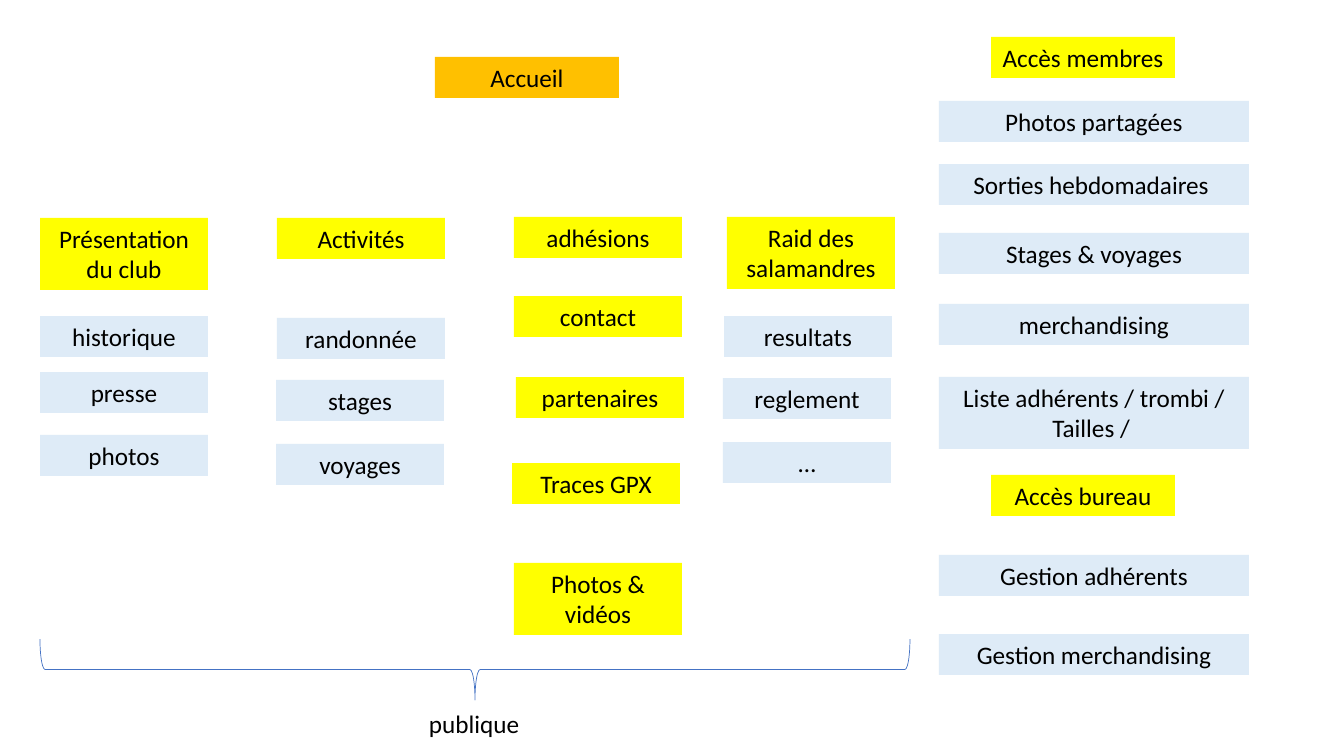
from dataclasses import dataclass
from typing import NamedTuple

from lxml import etree
from pptx import Presentation
from pptx.dml.color import RGBColor
from pptx.enum.shapes import MSO_SHAPE
from pptx.enum.text import MSO_ANCHOR, MSO_AUTO_SIZE, PP_ALIGN
from pptx.util import Emu, Pt

RECTANGLE = MSO_SHAPE.RECTANGLE
LEFT_BRACE = MSO_SHAPE.LEFT_BRACE
TOP = MSO_ANCHOR.TOP
GROW = MSO_AUTO_SIZE.SHAPE_TO_FIT_TEXT
LEFT, CENTER = PP_ALIGN.LEFT, PP_ALIGN.CENTER

PIXELS_PER_INCH = 100.8
SLIDE_WIDTH, SLIDE_HEIGHT = 1344, 756
LINE_HEIGHTS = {1: 41, 2: 72}
MENU_WIDTH, ACCESS_WIDTH, DETAIL_WIDTH = 168, 184, 310


@dataclass(frozen=True)
class Theme:
    """Colours and type of the site map."""
    font: str = "Calibri"
    size: float = 18
    text: str = "000000"
    home: str = "FFC000"
    menu: str = "FFFF00"
    page: str = "DEEBF7"
    brace: str = "4472C4"
    brace_width: float = 0.5


THEME = Theme()


class Entry(NamedTuple):
    """One box of a column; shift moves it sideways from the column's left."""
    label: str
    top: int
    fill: str = THEME.page
    lines: int = 1
    shift: int = 0


class Column(NamedTuple):
    """Boxes of one width that share a left edge."""
    left: int
    width: int
    entries: tuple[Entry, ...]


COLUMNS = (
    Column(435, ACCESS_WIDTH, (Entry("Accueil", 57, THEME.home),)),
    Column(40, MENU_WIDTH, (
        Entry("Présentation du club", 218, THEME.menu, lines=2),
        Entry("historique", 316),
        Entry("presse", 372),
        Entry("photos", 435),
    )),
    Column(277, MENU_WIDTH, (
        Entry("Activités", 218, THEME.menu),
        Entry("randonnée", 318),
        Entry("stages", 380, shift=-1),
        Entry("voyages", 444, shift=-1),
    )),
    Column(514, MENU_WIDTH, (
        Entry("adhésions", 217, THEME.menu),
        Entry("contact", 296, THEME.menu),
        Entry("partenaires", 377, THEME.menu, shift=2),
        Entry("Traces GPX", 463, THEME.menu, shift=-2),
        Entry("Photos & vidéos", 563, THEME.menu, lines=2),
    )),
    Column(727, MENU_WIDTH, (
        Entry("Raid des salamandres", 217, THEME.menu, lines=2),
        Entry("resultats", 316, shift=-3),
        Entry("reglement", 378, shift=-4),
        Entry("…", 442, shift=-4),
    )),
    Column(991, ACCESS_WIDTH, (
        Entry("Accès membres", 37, THEME.menu),
        Entry("Accès bureau", 475, THEME.menu),
    )),
    Column(939, DETAIL_WIDTH, (
        Entry("Photos partagées", 101),
        Entry("Sorties hebdomadaires ", 164),
        Entry("Stages & voyages", 233),
        Entry("merchandising", 304),
        Entry("Liste adhérents / trombi / Tailles / ", 377, lines=2),
        Entry("Gestion adhérents", 555),
        Entry("Gestion merchandising", 634),
    )),
)


def px(pixels: float) -> Emu:
    """Turn pixels into EMU."""
    return Emu(round(pixels * 914400 / PIXELS_PER_INCH))


def write(shape, text: str, *, align=CENTER, size: float = THEME.size,
          color: str = THEME.text) -> None:
    """Put formatted, wrapping text into a shape."""
    frame = shape.text_frame
    frame.word_wrap = True
    frame.auto_size = GROW
    frame.vertical_anchor = TOP
    paragraph = frame.paragraphs[0]
    paragraph.alignment = align
    run = paragraph.add_run()
    run.text = text
    run.font.name = THEME.font
    run.font.size = Pt(size)
    run.font.color.rgb = RGBColor.from_string(color)


def draw_column(slide, column: Column) -> None:
    """Draw every box of a column."""
    for entry in column.entries:
        box = slide.shapes.add_shape(
            RECTANGLE, px(column.left + entry.shift), px(entry.top),
            px(column.width), px(LINE_HEIGHTS[entry.lines]))
        box.shadow.inherit = False
        box.fill.solid()
        box.fill.fore_color.rgb = RGBColor.from_string(entry.fill)
        box.line.fill.background()
        write(box, entry.label)


def draw_brace(slide, left: int, top: int, width: int, height: int) -> None:
    """Draw a brace over the given area, pointing down."""
    center_x, center_y = left + width / 2, top + height / 2
    brace = slide.shapes.add_shape(
        LEFT_BRACE, px(center_x - height / 2), px(center_y - width / 2),
        px(height), px(width))
    brace.rotation = 90
    transform: etree._Element = brace.element.spPr.find(
        etree.QName("http://schemas.openxmlformats.org/drawingml/2006/main", "xfrm"))
    transform.set("flipH", "1")
    brace.shadow.inherit = False
    brace.fill.background()
    brace.line.color.rgb = RGBColor.from_string(THEME.brace)
    brace.line.width = Pt(THEME.brace_width)


def build() -> None:
    """Build and save the site map."""
    deck = Presentation()
    deck.slide_width, deck.slide_height = px(SLIDE_WIDTH), px(SLIDE_HEIGHT)
    slide = deck.slides.add_slide(deck.slide_layouts[6])
    for column in COLUMNS:
        draw_column(slide, column)
    draw_brace(slide, 40, 639, 870, 61)
    public_area = slide.shapes.add_textbox(px(419), px(703), px(303), px(LINE_HEIGHTS[1]))
    write(public_area, "publique", align=LEFT)
    deck.save("out.pptx")


build()
